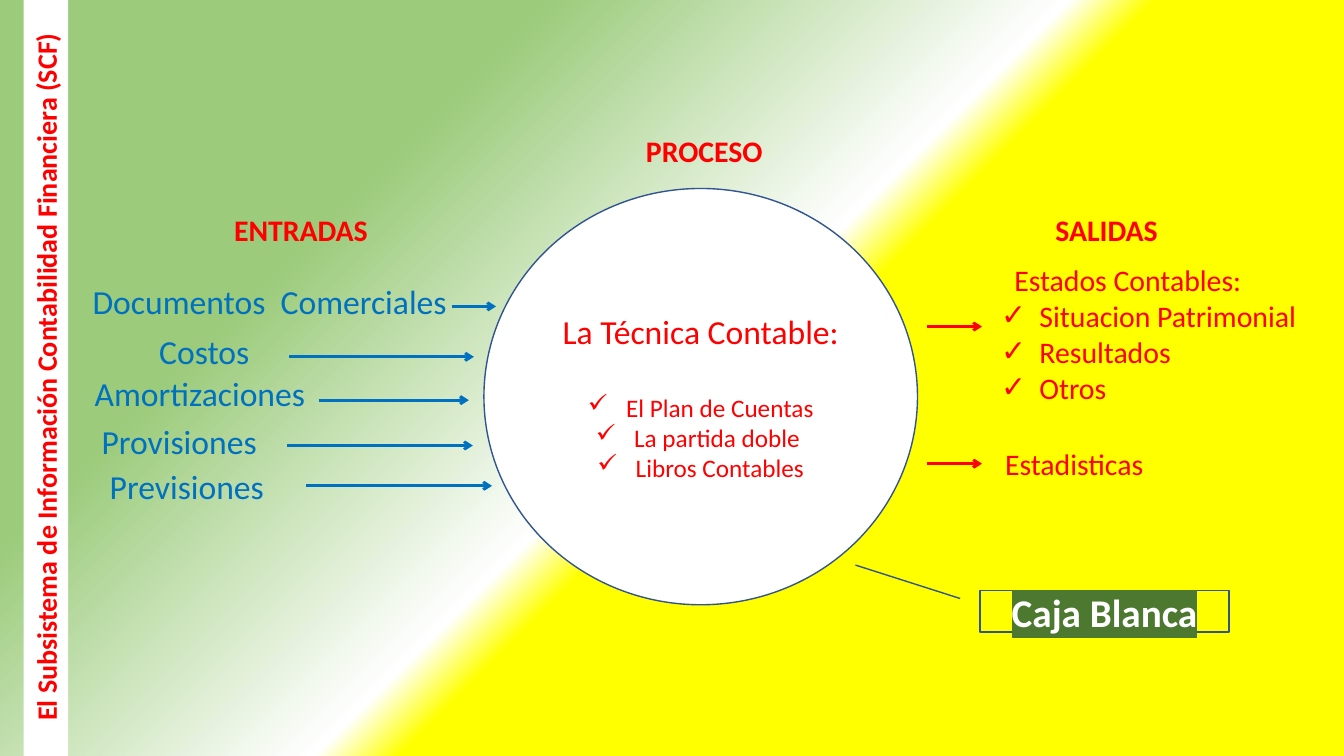
from lxml.etree import SubElement
from pptx import Presentation
from pptx.dml.color import RGBColor
from pptx.enum.shapes import MSO_CONNECTOR, MSO_SHAPE
from pptx.enum.text import MSO_ANCHOR, MSO_AUTO_SIZE, PP_ALIGN
from pptx.oxml import parse_xml
from pptx.oxml.ns import nsdecls, qn
from pptx.util import Inches, Pt

COLORS = {
    "red": "FF0000",
    "blue": "0070C0",
    "outline": "325491",
    "white": "FFFFFF",
    "yellow": "FFFF00",
    "green": "9BCB7B",
    "highlight": "4D7830",
}


def rgb(name):
    return RGBColor.from_string(COLORS[name])


class SlideBuilder:
    font = "Calibri"

    def __init__(self, slide):
        self.s = slide

    def background(self, stops):
        gs = "".join(
            f'<a:gs pos="{pos * 1000}"><a:srgbClr val="{COLORS[name]}"/></a:gs>'
            for pos, name in stops
        )
        bg = parse_xml(
            f'<p:bg {nsdecls("p", "a")}><p:bgPr><a:gradFill rotWithShape="1">'
            f'<a:gsLst>{gs}</a:gsLst><a:path path="circle">'
            '<a:fillToRect l="100000" t="100000"/></a:path></a:gradFill>'
            "<a:effectLst/></p:bgPr></p:bg>"
        )
        self.s.element.cSld.insert(0, bg)

    def place(self, sp, box):
        for name, value in zip(("left", "top", "width", "height"), box):
            setattr(sp, name, Inches(value))

    def paragraph(self, tf, text, size, color="red", bold=False, align=PP_ALIGN.LEFT,
                  bullet=False, margin=0, after=0, first=False):
        p = tf.paragraphs[0] if first else tf.add_paragraph()
        spacing = {"alignment": align, "space_before": Pt(0), "space_after": Pt(after)}
        for name, value in spacing.items():
            setattr(p, name, value)
        pPr = p._p.get_or_add_pPr()
        pPr.set("marL", str(Inches(0.38 if bullet else margin)))
        pPr.set("indent", str(Inches(-0.38 if bullet else 0)))
        if bullet:
            SubElement(pPr, qn("a:buChar")).set("char", "✓")
        else:
            SubElement(pPr, qn("a:buNone"))
        r = p.add_run()
        r.text = text
        for name, value in {"size": Pt(size), "bold": bold, "name": self.font}.items():
            setattr(r.font, name, value)
        r.font.color.rgb = rgb(color)
        return r

    def add_text(self, sp, items, anchor=MSO_ANCHOR.TOP, **style):
        tf = sp.text_frame
        fmt = {"word_wrap": True, "auto_size": MSO_AUTO_SIZE.NONE, "vertical_anchor": anchor}
        for name, value in fmt.items():
            setattr(tf, name, value)
        return [
            self.paragraph(tf, text, first=i == 0, **{**style, **extra})
            for i, (text, extra) in enumerate(items)
        ]

    def label(self, text, box, **style):
        tb = self.s.shapes.add_textbox(*map(Inches, box))
        self.add_text(tb, [(text, {})], **style)

    def shape(self, kind, box, fill=None):
        sp = self.s.shapes.add_shape(kind, *map(Inches, box))
        sp.shadow.inherit = False
        if fill:
            sp.fill.solid()
            sp.fill.fore_color.rgb = rgb(fill)
        else:
            sp.fill.background()
        sp.line.color.rgb = rgb("outline")
        sp.line.width = Pt(1)
        return sp

    def arrow(self, x1, x2, y, color):
        c = self.s.shapes.add_connector(MSO_CONNECTOR.STRAIGHT, *map(Inches, (x1, y, x2, y)))
        c.line.color.rgb = rgb(color)
        c.line.width = Pt(2)
        ln = c.element.spPr.find(qn("a:ln"))
        SubElement(ln, qn("a:tailEnd")).set("type", "arrow")
        SubElement(c.element.spPr, qn("a:effectLst"))

    def highlight(self, r, color):
        mark = parse_xml(
            f'<a:highlight {nsdecls("a")}><a:srgbClr val="{COLORS[color]}"/></a:highlight>'
        )
        r._r.rPr.find(qn("a:solidFill")).addnext(mark)


prs = Presentation()
prs.slide_width, prs.slide_height = Inches(13.33), Inches(7.5)
s = prs.slides.add_slide(prs.slide_layouts[1])
b = SlideBuilder(s)
b.background([(45, "yellow"), (49, "white"), (74, "green")])

title, outputs = s.placeholders
b.place(title, (-3.74, 3.52, 8.39, 0.44))
title.rotation = 270
title.fill.solid()
title.fill.fore_color.rgb = rgb("white")
b.add_text(
    title,
    [("El Subsistema de Información Contabilidad Financiera (SCF)", {})],
    size=20, bold=True, align=PP_ALIGN.CENTER,
)

b.place(outputs, (9.83, 2.55, 3.39, 1.9))
reports = ["Situacion Patrimonial", "Resultados", "Otros"]
b.add_text(
    outputs,
    [("Estados Contables:", {"margin": 0.13})] + [(t, {"bullet": True}) for t in reports],
    size=21.3,
)

process = b.shape(MSO_SHAPE.OVAL, (4.8, 1.87, 4.3, 4.13), "white")
techniques = ["El Plan de Cuentas", "La partida doble ", "Libros Contables"]
b.add_text(
    process,
    [("La Técnica Contable:", {"size": 24, "after": 29.3})]
    + [(t, {"bullet": True}) for t in techniques],
    anchor=MSO_ANCHOR.MIDDLE, size=18, align=PP_ALIGN.CENTER,
)

for text, left, top, width in [
    ("ENTRADAS", 2.04, 2.05, 1.89),
    ("PROCESO", 6.16, 1.27, 1.65),
    ("SALIDAS", 10.15, 2.05, 1.65),
]:
    b.label(text, (left, top, width, 0.46), size=21.3, bold=True, align=PP_ALIGN.CENTER)

for text, left, top, width, x1, x2, y in [
    ("Documentos  Comerciales", 0.82, 2.74, 3.8, 4.48, 4.92, 3.04),
    ("Costos", 1.48, 3.23, 1.35, 2.87, 4.7, 3.54),
    ("Amortizaciones", 0.84, 3.65, 2.41, 3.16, 4.65, 3.97),
    ("Provisiones", 0.91, 4.13, 2.03, 2.85, 4.69, 4.42),
    ("Previsiones", 0.99, 4.57, 1.83, 3.04, 4.88, 4.82),
]:
    b.label(text, (left, top, width, 0.5), size=24, color="blue")
    b.arrow(x1, x2, y, "blue")

for y in (3.24, 4.6):
    b.arrow(9.19, 9.74, y, "red")
b.label("Estadisticas", (9.74, 4.37, 3.1, 0.46), size=21.3, margin=0.13)

callout = b.shape(MSO_SHAPE.LINE_CALLOUT_1, (9.72, 5.86, 2.47, 0.41))
for i, value in enumerate((0.19, -0.08, -0.62, -0.5)):
    callout.adjustments[i] = value
runs = b.add_text(
    callout, [("Caja Blanca", {})], anchor=MSO_ANCHOR.MIDDLE,
    size=28, color="white", bold=True, align=PP_ALIGN.CENTER,
)
b.highlight(runs[0], "highlight")

prs.save("out.pptx")
